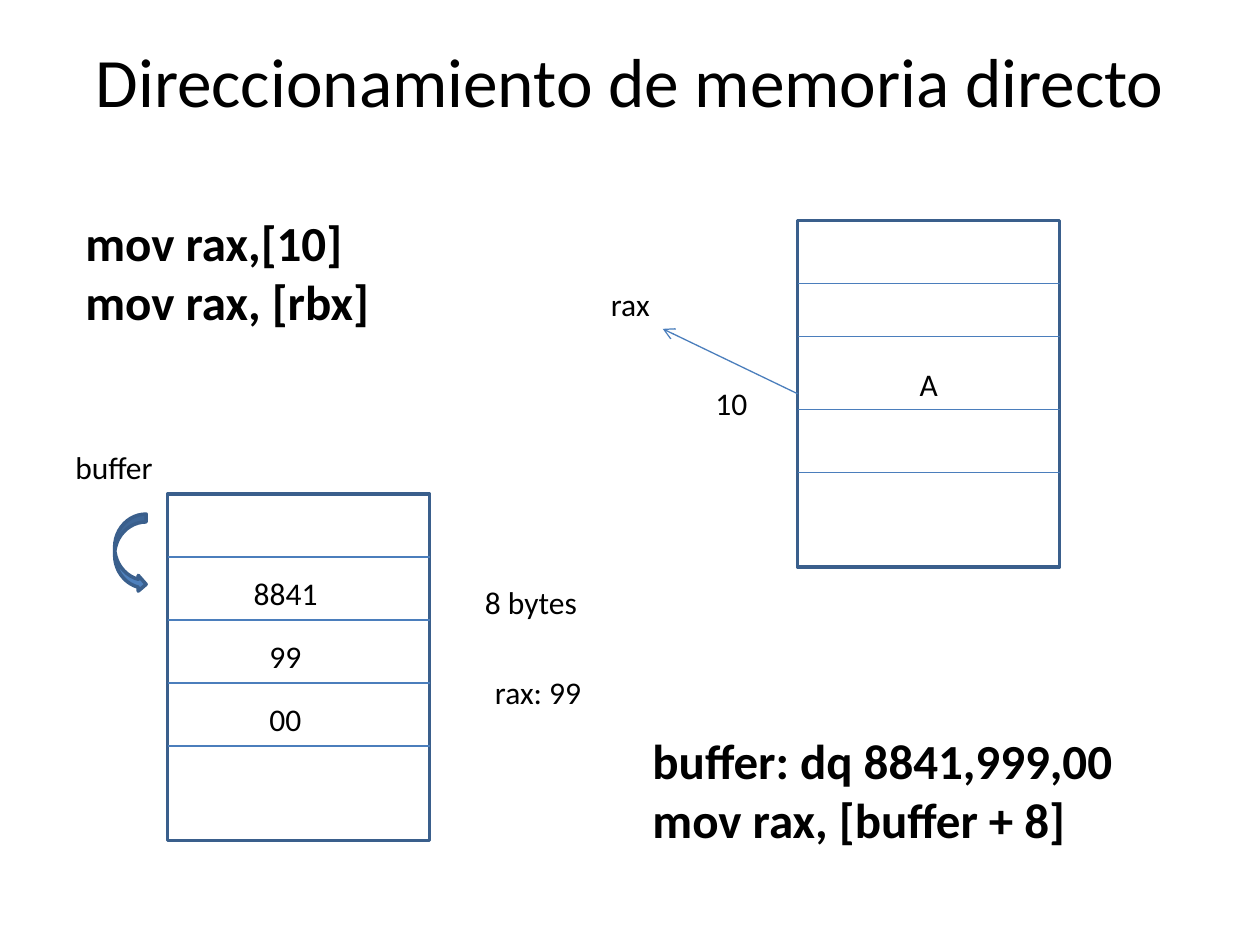
from dataclasses import dataclass

from lxml.etree import SubElement
from pptx import Presentation
from pptx.dml.color import RGBColor
from pptx.enum.shapes import MSO_CONNECTOR, MSO_SHAPE
from pptx.enum.text import MSO_ANCHOR, MSO_AUTO_SIZE, PP_ALIGN
from pptx.oxml.ns import qn
from pptx.util import Inches, Pt


@dataclass(frozen=True)
class Theme:
    font: str = "Calibri"
    text: RGBColor = RGBColor(0x00, 0x00, 0x00)
    paper: RGBColor = RGBColor(0xFF, 0xFF, 0xFF)
    accent: RGBColor = RGBColor(0x4F, 0x81, 0xBD)
    outline: RGBColor = RGBColor(0x3A, 0x5F, 0x8C)
    rule: RGBColor = RGBColor(0x4B, 0x7E, 0xBC)
    title_size: float = 39.6
    code_size: float = 28
    label_size: float = 18
    outline_width: float = 2
    rule_width: float = 0.75


THEME = Theme()
BLOCK_WIDTH, BLOCK_HEIGHT = 2.08, 2.75
LABEL_HEIGHT = 0.4


def inches(values):
    return [Inches(value) for value in values]


def format_span(span, size, bold=False):
    span.font.color.rgb = THEME.text
    for name, value in {"name": THEME.font, "size": Pt(size), "bold": bold}.items():
        setattr(span.font, name, value)


def add_title(page, box, text):
    title = page.shapes.title
    for name, value in zip(("left", "top", "width", "height"), inches(box)):
        setattr(title, name, value)
    frame = title.text_frame
    frame_format = {"vertical_anchor": MSO_ANCHOR.TOP, "margin_top": 0,
                    "auto_size": MSO_AUTO_SIZE.NONE, "word_wrap": True}
    for name, value in frame_format.items():
        setattr(frame, name, value)
    para = frame.paragraphs[0]
    para.alignment = PP_ALIGN.CENTER
    span = para.add_run()
    span.text = text
    format_span(span, THEME.title_size)


def add_text(page, box, lines, size, bold=False, wrap=False):
    frame = page.shapes.add_textbox(*inches(box)).text_frame
    frame.word_wrap = wrap
    frame.auto_size = MSO_AUTO_SIZE.SHAPE_TO_FIT_TEXT
    for index, line in enumerate(lines):
        para = frame.add_paragraph() if index else frame.paragraphs[0]
        span = para.add_run()
        span.text = line
        format_span(span, size, bold)


def add_label(page, left, top, width, text):
    add_text(page, (left, top, width, LABEL_HEIGHT), [text], THEME.label_size)


def add_outlined_shape(page, kind, box, fill):
    shape = page.shapes.add_shape(kind, *inches(box))
    shape.shadow.inherit = False
    shape.fill.solid()
    shape.fill.fore_color.rgb = fill
    shape.line.color.rgb = THEME.outline
    shape.line.width = Pt(THEME.outline_width)
    return shape


def add_rule(page, start, end):
    rule = page.shapes.add_connector(MSO_CONNECTOR.STRAIGHT, *inches(start + end))
    rule.line.color.rgb = THEME.rule
    rule.line.width = Pt(THEME.rule_width)
    SubElement(rule._element.spPr, qn("a:effectLst"))
    return rule


def add_memory_block(page, box, offsets):
    """Draw a block of memory with cell borders at offsets from its top."""
    left, top, width, _ = box
    block = add_outlined_shape(page, MSO_SHAPE.RECTANGLE, box, THEME.paper)
    for offset in offsets:
        add_rule(page, (left, top + offset), (left + width, top + offset))
    return block


def add_register_load(page, box):
    """Show the cell at address 10 being loaded into rax."""
    left, top, width, height = box
    block = add_memory_block(page, box, (0.5, 0.92, 1.5, 2))
    add_label(page, left + 0.87, top + 1.1, 0.35, "A")
    add_label(page, left - 0.75, top + 1.25, 0.46, "10")
    add_label(page, left - 1.58, top + 0.46, 0.51, "rax")
    arrow = add_rule(page, (left, top + height / 2), (left - 1.07, top + 0.86))
    arrow.begin_connect(block, 1)
    SubElement(arrow.line._get_or_add_ln(), qn("a:tailEnd"), type="arrow")


def add_buffer(page, box):
    """Show the buffer's cells and the value read at offset 8."""
    left, top, width, _ = box
    cell = 0.5
    add_memory_block(page, box, [cell * row for row in range(1, 5)])
    center = left + 0.94
    for row, (value, label_width) in enumerate((("8841", 0.71), ("99", 0.46), ("00", 0.46))):
        add_label(page, center - label_width / 2, top + 0.59 + cell * row, label_width, value)
    add_label(page, left - 0.83, top - 0.41, 0.83, "buffer")
    add_label(page, left + width + 0.34, top + 0.66, 0.94, "8 bytes")
    add_label(page, left + width + 0.42, top + 1.37, 0.89, "rax: 99")
    arrow_box = (left - 0.42, top + 0.16, 0.25, 0.62)
    add_outlined_shape(page, MSO_SHAPE.CURVED_RIGHT_ARROW, arrow_box, THEME.accent)


def main():
    deck = Presentation()
    deck.slide_width, deck.slide_height = inches((10, 7.5))
    page = deck.slides.add_slide(deck.slide_layouts[5])
    page.background.fill.solid()
    page.background.fill.fore_color.rgb = THEME.paper

    add_title(page, (0.5, 0.3, 9, 1.25), "Direccionamiento de memoria directo")
    add_register_load(page, (6.33, 1.75, BLOCK_WIDTH, BLOCK_HEIGHT))
    add_text(page, (0.58, 1.64, 3.83, 1.35), ["mov rax,[10]", "mov rax, [rbx]"],
             THEME.code_size, bold=True, wrap=True)
    add_text(page, (5.08, 5.75, 3.91, 1.04),
             ["buffer: dq 8841,999,00", "mov rax, [buffer + 8]"],
             THEME.code_size, bold=True)
    add_buffer(page, (1.33, 3.92, BLOCK_WIDTH, BLOCK_HEIGHT))
    deck.save("out.pptx")


if __name__ == "__main__":
    main()
